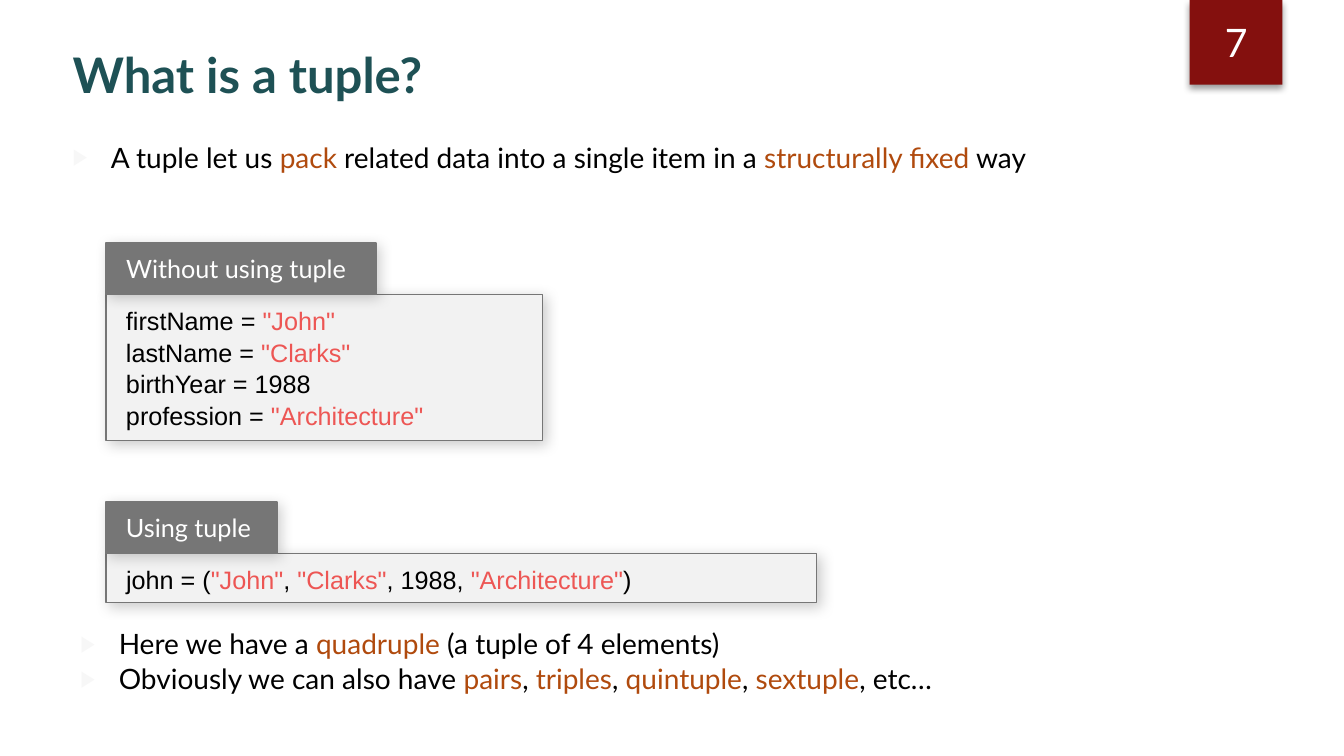
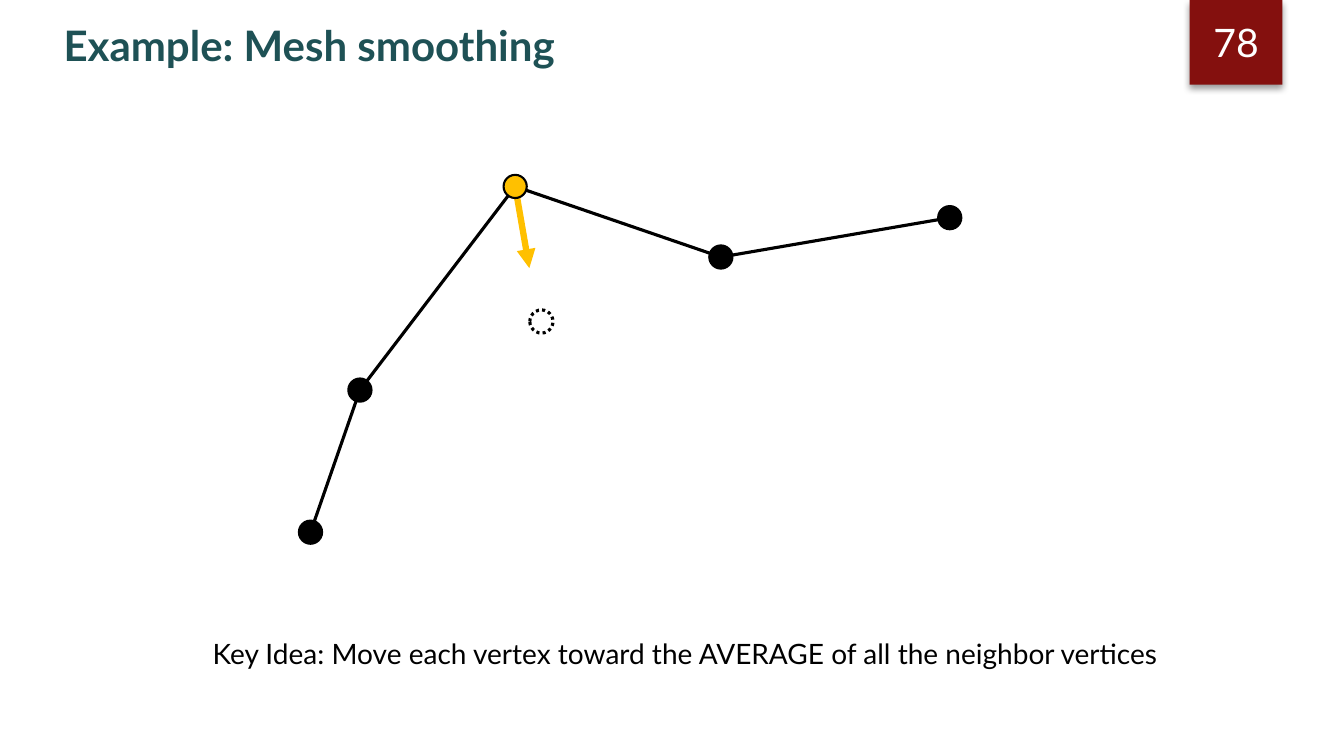
from lxml import etree
from pptx import Presentation
from pptx import util as u
from pptx.dml.color import RGBColor
from pptx.enum import dml, shapes, text
from pptx.oxml.ns import qn

TEAL = RGBColor(0x1E, 0x51, 0x55)
DARK_RED = RGBColor(0x84, 0x10, 0x0E)
RUST = RGBColor(0xB0, 0x4A, 0x0D)
CORAL = RGBColor(0xED, 0x56, 0x54)
AMBER = RGBColor(0xFF, 0xC0, 0x00)
GRAY = RGBColor(0x76, 0x76, 0x76)
PALE_GRAY = RGBColor(0xF2, 0xF2, 0xF2)
BULLET_GRAY = RGBColor(0xF7, 0xF7, 0xF7)
BLACK = RGBColor(0, 0, 0)
WHITE = RGBColor(0xFF, 0xFF, 0xFF)

HEADING_FONT = "Lato"
CODE_FONT = "Arial"
DOT_SIZE = 0.23
HEADER_HEIGHT = 0.51


def add_element(parent, tag, **attributes):
    return etree.SubElement(parent, qn(tag), attributes)


def add_shadow(effects, opacity, blur, angle):
    shadow = add_element(effects, "a:outerShdw", blurRad=str(u.Pt(blur)), dist=str(u.Pt(3)),
                         dir=str(angle * 60000), algn="ctr", rotWithShape="0")
    color = add_element(shadow, "a:srgbClr", val=str(BLACK))
    add_element(color, "a:alpha", val=str(opacity * 1000))


class Deck:
    def __init__(self):
        self.presentation = Presentation()
        self.presentation.slide_width = u.Inches(13.33)
        self.presentation.slide_height = u.Inches(7.5)
        self.slide = None

    def new_slide(self, layout, number):
        self.slide = self.presentation.slides.add_slide(self.presentation.slide_layouts[layout])
        badge = self.rectangle(11.8, 0, 0.92, 0.84, DARK_RED, opacity=40, blur=5, angle=90)
        frame = badge.text_frame
        frame.vertical_anchor = text.MSO_ANCHOR.MIDDLE
        self.add_runs(frame.paragraphs[0], number, 28, color=WHITE)
        frame.paragraphs[0].alignment = text.PP_ALIGN.CENTER

    def place(self, shape, left, top, width, height):
        shape.left, shape.top = u.Inches(left), u.Inches(top)
        shape.width, shape.height = u.Inches(width), u.Inches(height)
        frame = shape.text_frame
        frame.word_wrap = True
        frame.auto_size = text.MSO_AUTO_SIZE.NONE
        frame.vertical_anchor = text.MSO_ANCHOR.TOP
        return frame

    def add_runs(self, paragraph, marked_text, size, font=HEADING_FONT, color=BLACK, accent=RUST):
        paragraph.alignment = text.PP_ALIGN.LEFT
        for index, part in enumerate(marked_text.split("*")):
            if part:
                run = paragraph.add_run()
                run.text = part
                run.font.name = font
                run.font.size = u.Pt(size)
                run.font.color.rgb = accent if index % 2 else color

    def title(self, title, left, top, width, height, size):
        frame = self.place(self.slide.shapes.title, left, top, width, height)
        self.add_runs(frame.paragraphs[0], title, size, color=TEAL)
        run = frame.paragraphs[0].runs[0]
        run.font.bold = True
        effects = etree.Element(qn("a:effectLst"))
        add_shadow(effects, 40, 3, 45)
        run._r.get_or_add_rPr().find(qn("a:solidFill")).addnext(effects)

    def text_box(self):
        return self.slide.shapes.add_textbox(0, 0, 0, 0)

    def bullets(self, shape, items, left, top, width, height):
        frame = self.place(shape, left, top, width, height)
        for index, item in enumerate(items):
            paragraph = frame.add_paragraph() if index else frame.paragraphs[0]
            properties = paragraph._p.get_or_add_pPr()
            properties.set("marL", str(u.Inches(0.38)))
            properties.set("indent", str(-u.Inches(0.38)))
            color = add_element(properties, "a:buClr")
            add_element(color, "a:srgbClr", val=str(BULLET_GRAY))
            add_element(properties, "a:buSzPct", val="80000")
            add_element(properties, "a:buFont", typeface="Arial")
            add_element(properties, "a:buChar", char="▶")
            paragraph.space_before = u.Pt(1 if index else 0)
            self.add_runs(paragraph, item, 20)

    def caption(self, caption, left, top, width, height):
        frame = self.place(self.text_box(), left, top, width, height)
        self.add_runs(frame.paragraphs[0], caption, 20)

    def rectangle(self, left, top, width, height, fill, line=None, opacity=20, blur=10, angle=45):
        shape = self.slide.shapes.add_shape(shapes.MSO_SHAPE.RECTANGLE, 0, 0, 0, 0)
        self.place(shape, left, top, width, height)
        shape.fill.solid()
        shape.fill.fore_color.rgb = fill
        if line is None:
            shape.line.fill.background()
        else:
            shape.line.color.rgb = line
            shape.line.width = u.Pt(1)
        shape.shadow.inherit = False
        add_shadow(shape._element.spPr.find(qn("a:effectLst")), opacity, blur, angle)
        return shape

    def panel(self, left, top, width, height, fill, lines, font, color):
        frame = self.rectangle(left, top, width, height, fill, GRAY).text_frame
        frame.margin_left = frame.margin_right = u.Inches(0.2)
        frame.margin_top = frame.margin_bottom = u.Inches(0.1)
        for index, line in enumerate(lines):
            paragraph = frame.add_paragraph() if index else frame.paragraphs[0]
            self.add_runs(paragraph, line, 18, font, color, CORAL)
            if font == CODE_FONT:
                paragraph.line_spacing = 1.04

    def code_block(self, header, lines, top, header_width, width, height):
        self.panel(1.05, top + HEADER_HEIGHT, width, height, PALE_GRAY, lines, CODE_FONT, BLACK)
        self.panel(1.05, top, header_width, HEADER_HEIGHT, GRAY, [header], HEADING_FONT, WHITE)

    def line(self, start, end, color=BLACK, width=2.25, arrow=False):
        points = [u.Inches(value) for value in (*start, *end)]
        connector = self.slide.shapes.add_connector(shapes.MSO_CONNECTOR.STRAIGHT, *points)
        connector.line.color.rgb = color
        connector.line.width = u.Pt(width)
        if arrow:
            add_element(connector._element.spPr.find(qn("a:ln")), "a:tailEnd", type="triangle")
        add_element(connector._element.spPr, "a:effectLst")

    def dot(self, center, fill=BLACK):
        left, top = (u.Inches(value - DOT_SIZE / 2) for value in center)
        size = u.Inches(DOT_SIZE)
        shape = self.slide.shapes.add_shape(shapes.MSO_SHAPE.OVAL, left, top, size, size)
        shape.shadow.inherit = False
        shape.line.color.rgb = BLACK
        if fill is None:
            shape.fill.background()
            shape.line.width = u.Pt(2.25)
            shape.line.dash_style = dml.MSO_LINE.ROUND_DOT
        else:
            shape.fill.solid()
            shape.fill.fore_color.rgb = fill
            shape.line.width = u.Pt(1.5)


def tuple_slide(deck):
    deck.new_slide(1, "7")
    deck.title("What is a tuple?", 0.62, 0.39, 10.92, 0.64, 35)
    deck.bullets(deck.slide.placeholders[1],
                 ["A tuple let us *pack* related data into a single item in a *structurally fixed* way"],
                 0.62, 1.34, 10.84, 0.66)
    deck.code_block("Without using tuple",
                    ['firstName = *"John"*', 'lastName = *"Clarks"*',
                     'birthYear = 1988', 'profession = *"Architecture"*'],
                    2.41, 2.68, 4.33, 1.45)
    deck.code_block("Using tuple",
                    ['john = (*"John"*, *"Clarks"*, 1988, *"Architecture"*)'],
                    4.98, 1.7, 7.05, 0.49)
    deck.bullets(deck.text_box(),
                 ["Here we have a *quadruple* (a tuple of 4 elements)",
                  "Obviously we can also have *pairs*, *triples*, *quintuple*, *sextuple*, etc…"],
                 0.7, 6.17, 10.84, 0.88)


def mesh_slide(deck):
    deck.new_slide(5, "78")
    deck.title("Example: Mesh smoothing", 0.53, 0.14, 10.92, 0.7, 30)
    vertices = [(3.08, 5.28), (3.57, 3.87), (5.11, 1.85), (7.15, 2.55), (9.42, 2.16)]
    moved_vertex = vertices[2]
    for start, end in zip(vertices, vertices[1:]):
        deck.line(start, end)
    deck.line(moved_vertex, (5.25, 2.66), AMBER, 4.5, arrow=True)
    for vertex in vertices:
        deck.dot(vertex, AMBER if vertex == moved_vertex else BLACK)
    deck.dot((5.37, 3.19), None)
    deck.caption("Key Idea: Move each vertex toward the AVERAGE of all the neighbor vertices",
                 2.01, 6.27, 11.3, 0.44)


def main():
    deck = Deck()
    tuple_slide(deck)
    mesh_slide(deck)
    deck.presentation.save("out.pptx")


if __name__ == "__main__":
    main()
